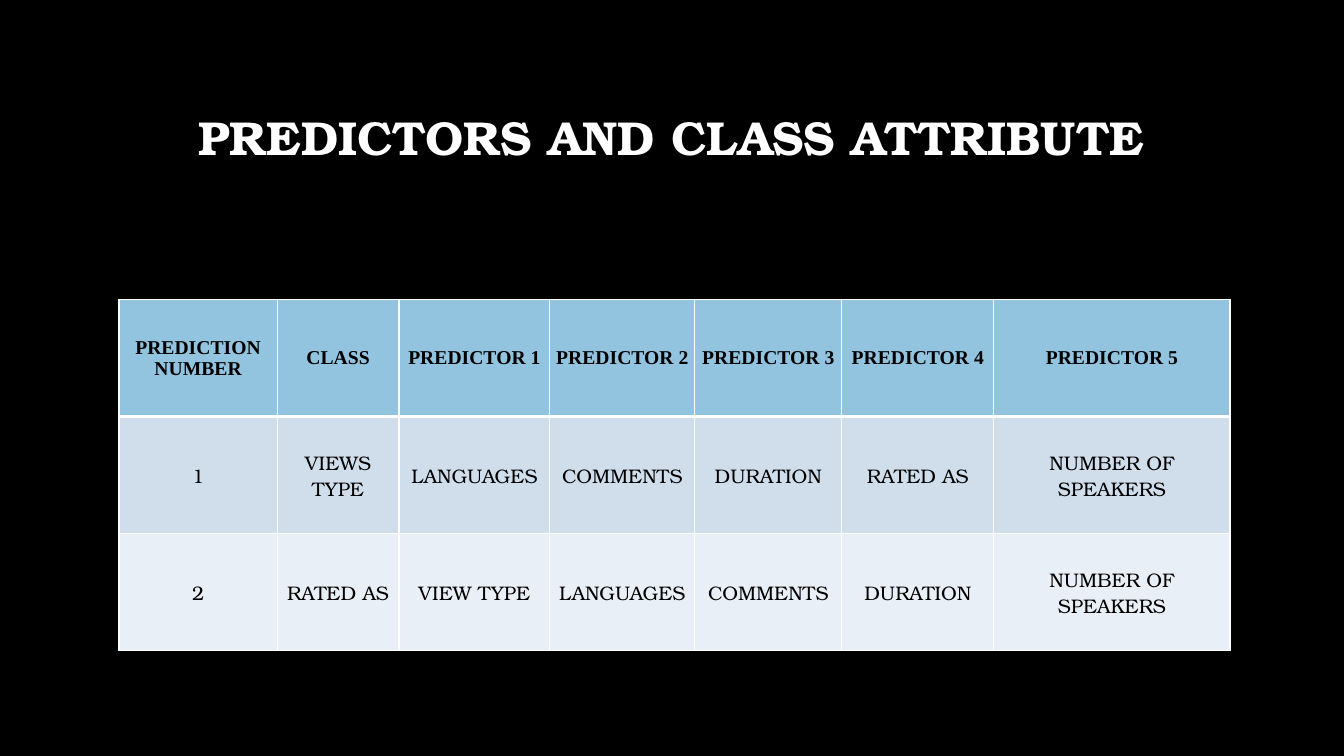
from dataclasses import dataclass

from lxml import etree
from pptx import Presentation
from pptx.dml.color import RGBColor
from pptx.enum.text import MSO_ANCHOR, MSO_AUTO_SIZE, PP_ALIGN
from pptx.oxml.ns import qn
from pptx.util import Pt

CENTER = PP_ALIGN.CENTER
MIDDLE = MSO_ANCHOR.MIDDLE
NO_AUTOFIT = MSO_AUTO_SIZE.NONE
TITLE_ONLY = 5


@dataclass(frozen=True)
class Theme:
    background: str = "000000"
    light: str = "FFFFFF"
    dark: str = "000000"
    header_fill: str = "92C4E0"
    band_fills: tuple = ("D0DEEC", "E9EFF6")
    body_font: str = "TeX Gyre Bonum"
    header_font: str = "Times New Roman"
    title_size: float = 34
    table_size: float = 14
    thin_line: float = 1
    thick_line: float = 3


HEADERS = ["PREDICTION NUMBER", "CLASS"] + [f"PREDICTOR {number}" for number in range(1, 6)]
PREDICTIONS = [
    ["1", "VIEWS TYPE", "LANGUAGES", "COMMENTS", "DURATION", "RATED AS", "NUMBER OF SPEAKERS"],
    ["2", "RATED AS", "VIEW TYPE", "LANGUAGES", "COMMENTS", "DURATION", "NUMBER OF SPEAKERS"],
]
COLUMN_WIDTHS = [113, 87, 107.8, 103.6, 105, 108.6, 168.7]
ROW_HEIGHT = 83.7


def write_text(text_frame, text, *, font, size, color, bold=False, line_spacing=1.0):
    paragraph = text_frame.paragraphs[0]
    paragraph.alignment = CENTER
    paragraph.line_spacing = line_spacing
    run = paragraph.add_run()
    run.text = text
    run.font.name = font
    run.font.size = Pt(size)
    run.font.bold = bold
    run.font.color.rgb = RGBColor.from_string(color)


class SlideBuilder:
    """Adds styled elements to one slide."""

    def __init__(self, slide, theme):
        self.slide = slide
        self.theme = theme

    def paint_background(self):
        fill = self.slide.background.fill
        fill.solid()
        fill.fore_color.rgb = RGBColor.from_string(self.theme.background)

    def add_title(self, text, left, top, width, height):
        title = self.slide.shapes.title
        title.left, title.top = Pt(left), Pt(top)
        title.width, title.height = Pt(width), Pt(height)
        text_frame = title.text_frame
        text_frame.word_wrap = True
        text_frame.auto_size = NO_AUTOFIT
        text_frame.vertical_anchor = MIDDLE
        write_text(text_frame, text, font=self.theme.body_font, size=self.theme.title_size,
                   color=self.theme.light, bold=True, line_spacing=0.9)

    def add_table(self, rows, left, top, column_widths, row_height):
        table = self.slide.shapes.add_table(
            len(rows), len(column_widths), Pt(left), Pt(top),
            Pt(sum(column_widths)), Pt(row_height * len(rows))).table
        for column, width in zip(table.columns, column_widths):
            column.width = Pt(width)
        for row_index, values in enumerate(rows):
            table.rows[row_index].height = Pt(row_height)
            for column_index, value in enumerate(values):
                self.format_cell(table.cell(row_index, column_index), value, row_index)

    def format_cell(self, cell, text, row_index):
        theme = self.theme
        is_header = row_index == 0
        fill_color = theme.header_fill if is_header else theme.band_fills[(row_index - 1) % 2]
        cell.fill.solid()
        cell.fill.fore_color.rgb = RGBColor.from_string(fill_color)
        cell.vertical_anchor = MIDDLE
        cell.margin_left = cell.margin_right = cell.margin_top = Pt(0.7)
        cell.margin_bottom = 0
        write_text(cell.text_frame, text, font=theme.header_font if is_header else theme.body_font,
                   size=theme.table_size, color=theme.dark, bold=is_header)
        self.add_borders(cell, {
            "L": theme.thin_line,
            "R": theme.thin_line,
            "T": theme.thick_line if row_index == 1 else theme.thin_line,
            "B": theme.thick_line if is_header else theme.thin_line,
        })

    def add_borders(self, cell, widths):
        properties = cell._tc.get_or_add_tcPr()
        for position, (side, width) in enumerate(widths.items()):
            line = etree.Element(qn(f"a:ln{side}"), w=str(Pt(width)))
            fill = etree.SubElement(line, qn("a:solidFill"))
            etree.SubElement(fill, qn("a:srgbClr"), val=self.theme.light)
            properties.insert(position, line)


def main():
    presentation = Presentation()
    presentation.slide_width, presentation.slide_height = Pt(960), Pt(540)
    slide = presentation.slides.add_slide(presentation.slide_layouts[TITLE_ONLY])
    builder = SlideBuilder(slide, Theme())
    builder.paint_background()
    builder.add_title("PREDICTORS AND CLASS ATTRIBUTE", 72, 48, 815, 104.4)
    builder.add_table([HEADERS] + PREDICTIONS, 85, 213.8, COLUMN_WIDTHS, ROW_HEIGHT)
    presentation.save("out.pptx")


if __name__ == "__main__":
    main()
